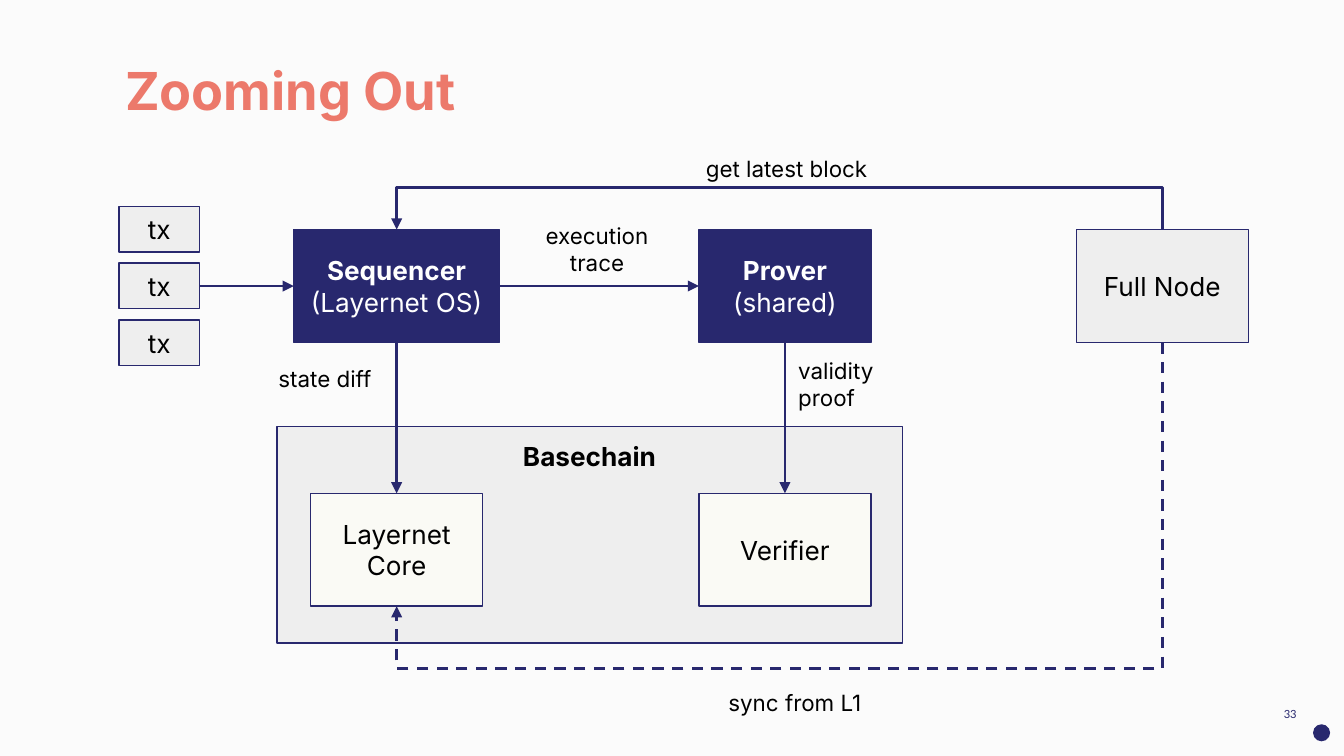
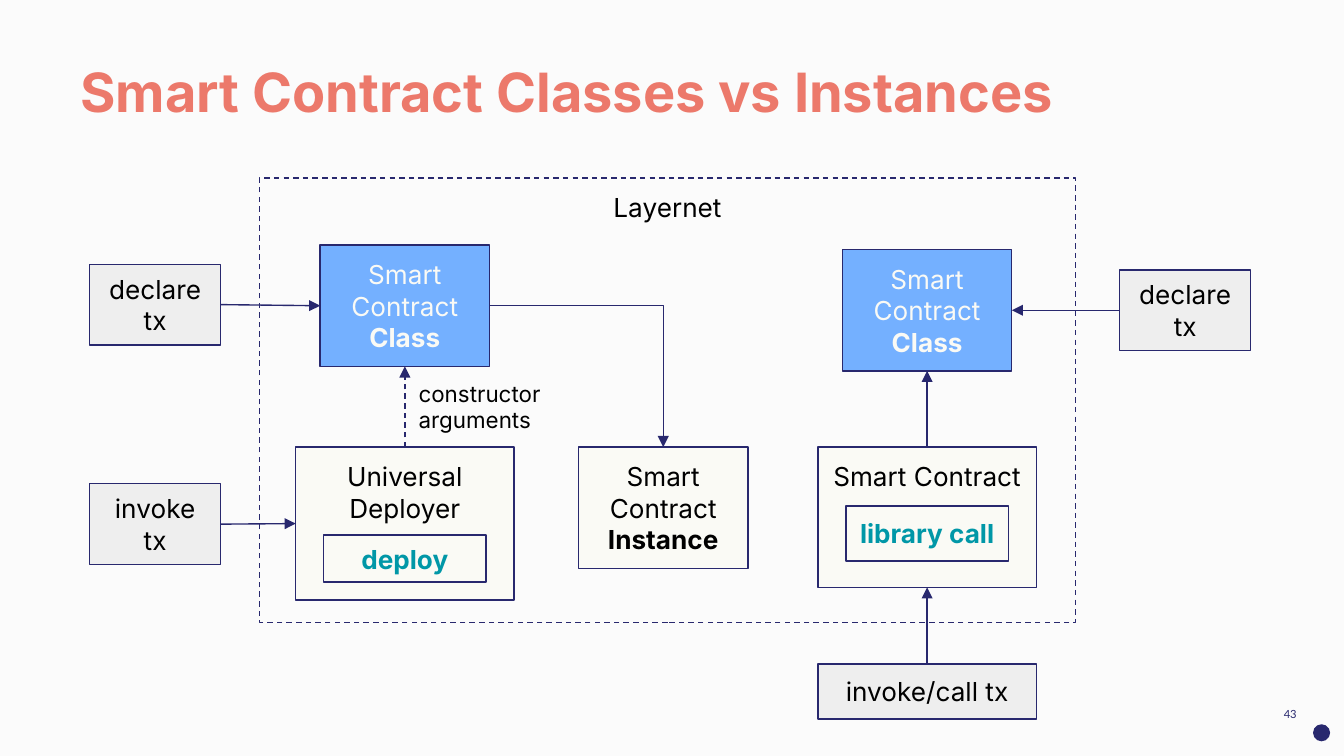
"""Build two diagram slides about a rollup and its smart contracts."""
import dataclasses

import lxml.etree
import pptx
import pptx.dml.color
import pptx.enum.dml
import pptx.enum.shapes
import pptx.enum.text
import pptx.oxml.ns
import pptx.util

Pt = pptx.util.Pt
ALIGN = pptx.enum.text.PP_ALIGN
ANCHOR = pptx.enum.text.MSO_ANCHOR
SHAPE = pptx.enum.shapes.MSO_SHAPE
DASH = pptx.enum.dml.MSO_LINE.DASH
TOP, LEFT, BOTTOM, RIGHT = range(4)


@dataclasses.dataclass(frozen=True)
class Theme:
    """Colours, fonts and sizes shared by the slides."""

    background: str = "FBFBFB"
    title: str = "EC796B"
    navy: str = "28286E"
    grey: str = "EEEEEE"
    cream: str = "FAFAF5"
    blue: str = "74B0FF"
    teal: str = "0097A7"
    white: str = "FFFFFF"
    black: str = "000000"
    font: str = "Inter"
    number_font: str = "Lato"
    body_size: float = 14
    label_size: float = 12
    number_size: float = 6
    thin: float = 0.75
    thick: float = 1.5
    inset: float = 7.2


THEME = Theme()


class Bold(str):
    """Text of a run set in bold."""


@dataclasses.dataclass(frozen=True)
class Box:
    """A rectangle in points."""

    left: float
    top: float
    width: float
    height: float

    def inside(self, left, top, width, height):
        """Return a box placed from this box's top left corner."""
        return Box(self.left + left, self.top + top, width, height)

    def centred(self, top, width, height):
        """Return a box on this box's vertical axis."""
        return self.inside((self.width - width) / 2, top, width, height)

    def lengths(self):
        """Return the four lengths for a shape call."""
        return [Pt(value) for value in dataclasses.astuple(self)]


def rgb(value):
    """Return a colour object."""
    return pptx.dml.color.RGBColor.from_string(value)


def assign(target, values):
    """Set each attribute named in a dict."""
    for name, value in values.items():
        setattr(target, name, value)


def write(shape, paragraphs, size, color, font=THEME.font, align=ALIGN.CENTER, anchor=ANCHOR.MIDDLE):
    """Fill a shape with paragraphs, each a string or a tuple of runs."""
    frame = shape.text_frame
    margins = ("margin_left", "margin_top", "margin_right", "margin_bottom")
    assign(frame, dict.fromkeys(margins, Pt(THEME.inset)))
    assign(frame, {"word_wrap": True, "vertical_anchor": anchor})
    for index, runs in enumerate(paragraphs):
        paragraph = frame.add_paragraph() if index else frame.paragraphs[0]
        paragraph.alignment = align
        for text in (runs,) if isinstance(runs, str) else runs:
            run = paragraph.add_run()
            run.text = str(text)
            assign(run.font, {"name": font, "size": Pt(size), "bold": isinstance(text, Bold)})
            run.font.color.rgb = rgb(color)


def stroke(shape, width, dash=None):
    """Give a shape or connector a navy line."""
    shape.line.color.rgb = rgb(THEME.navy)
    assign(shape.line, {"width": Pt(width), "dash_style": dash})


def add_block(slide, box, *paragraphs, fill=None, color=THEME.black, dash=None,
              kind=SHAPE.RECTANGLE, **text_format):
    """Draw an outlined shape with text."""
    shape = slide.shapes.add_shape(kind, *box.lengths())
    shape.shadow.inherit = False
    if fill:
        shape.fill.solid()
        shape.fill.fore_color.rgb = rgb(fill)
    else:
        shape.fill.background()
    stroke(shape, THEME.thin, dash)
    write(shape, paragraphs, THEME.body_size, color, **text_format)
    return shape


def add_label(slide, box, *paragraphs, size=THEME.label_size, color=THEME.black, **text_format):
    """Place text without an outline."""
    shape = slide.shapes.add_textbox(*box.lengths())
    write(shape, paragraphs, size, color, **text_format)


def anchor_point(shape, site):
    """Return the middle of one side of a shape."""
    middle_x, middle_y = shape.left + shape.width // 2, shape.top + shape.height // 2
    return {
        TOP: (middle_x, shape.top),
        LEFT: (shape.left, middle_y),
        BOTTOM: (middle_x, shape.top + shape.height),
        RIGHT: (shape.left + shape.width, middle_y),
    }[site]


def add_arrow(slide, source, source_site, target, target_site, corners=(), width=THEME.thin, dash=None):
    """Join two shapes with an arrow, bent at any corners given."""
    start, end = anchor_point(source, source_site), anchor_point(target, target_site)
    if corners:
        builder = slide.shapes.build_freeform(*start)
        builder.add_line_segments([*corners, end], close=False)
        arrow = builder.convert_to_shape()
        arrow.fill.background()
    else:
        straight = pptx.enum.shapes.MSO_CONNECTOR.STRAIGHT
        arrow = slide.shapes.add_connector(straight, *start, *end)
        arrow.begin_connect(source, source_site)
        arrow.end_connect(target, target_site)
    stroke(arrow, width, dash)
    qn = pptx.oxml.ns.qn
    properties = arrow._element.spPr
    lxml.etree.SubElement(properties.find(qn("a:ln")), qn("a:tailEnd"), type="triangle")
    lxml.etree.SubElement(properties, qn("a:effectLst"))


def add_loop(slide, source, target, site, level, **line_format):
    """Join the same side of two shapes along a horizontal level."""
    corners = [(anchor_point(shape, site)[0], Pt(level)) for shape in (source, target)]
    add_arrow(slide, source, site, target, site, corners, **line_format)


def start_slide(presentation, title, title_box, title_size, number):
    """Add a slide with its background, title, page number and dot."""
    slide = presentation.slides.add_slide(presentation.slide_layouts[6])
    slide.background.fill.solid()
    slide.background.fill.fore_color.rgb = rgb(THEME.background)
    add_label(slide, title_box, Bold(title), size=title_size, color=THEME.title,
              align=ALIGN.LEFT, anchor=ANCHOR.TOP)
    add_label(slide, Box(658.6, 367.2, 43.2, 31), number, size=THEME.number_size,
              color=THEME.navy, font=THEME.number_font, align=ALIGN.RIGHT)
    add_block(slide, Box(703.8, 388.4, 8.4, 8.4), fill=THEME.navy, kind=SHAPE.OVAL)
    return slide


def base_panel(slide, box):
    """Draw the base layer and return its core and verifier."""
    add_block(slide, box, Bold("Basechain"), fill=THEME.grey, anchor=ANCHOR.TOP)
    return [
        add_block(slide, box.inside(left, 35.8, 92.2, 60.5), text, fill=THEME.cream)
        for left, text in ((18, "Layernet Core"), (226, "Verifier"))
    ]


def transaction_stack(slide, box):
    """Draw three transactions and return the middle one."""
    blocks = [
        add_block(slide, box.inside(0, 30.5 * row, box.width, 24.5), "tx", fill=THEME.grey)
        for row in range(3)
    ]
    return blocks[1]


def operator_row(slide, box):
    """Draw the sequencer, prover and full node."""
    nodes = (
        (0, 110.2, (Bold("Sequencer"), "(Layernet OS)"), THEME.navy, THEME.white),
        (217, 92.2, (Bold("Prover"), "(shared)"), THEME.navy, THEME.white),
        (419.2, 92.2, ("Full Node",), THEME.grey, THEME.black),
    )
    return [
        add_block(slide, box.inside(left, 0, width, box.height), *text, fill=fill, color=color)
        for left, width, text, fill, color in nodes
    ]


def zooming_out(presentation):
    """Build the slide on the flow from transactions to the base layer."""
    slide = start_slide(presentation, "Zooming Out", Box(60, 23.8, 530, 45.4), 28, "33")
    core, verifier = base_panel(slide, Box(148.4, 228.5, 335, 116))
    transaction = transaction_stack(slide, Box(63.8, 110.5, 43.2, 85.5))
    sequencer, prover, full_node = operator_row(slide, Box(157.4, 123, 511.4, 60.5))
    for link in (
        (transaction, RIGHT, sequencer, LEFT),
        (sequencer, RIGHT, prover, LEFT),
        (sequencer, BOTTOM, core, TOP),
        (prover, BOTTOM, verifier, TOP),
    ):
        add_arrow(slide, *link, width=THEME.thick)
    add_loop(slide, full_node, sequencer, TOP, 100.4, width=THEME.thick)
    add_loop(slide, full_node, core, BOTTOM, 358, width=THEME.thick, dash=DASH)
    for box, text in (
        (Box(140.6, 193, 67, 19.4), "state diff"),
        (Box(276.7, 118.1, 86.4, 31), "execution trace"),
        (Box(375.1, 366.8, 101.5, 19.4), "sync from L1"),
        (Box(358.4, 80.8, 126, 19.4), "get latest block"),
    ):
        add_label(slide, box, text)
    add_label(slide, Box(420.5, 190.8, 58.3, 30.2), "validity", "proof", align=ALIGN.LEFT)


def contract_class(slide, box):
    """Draw a smart contract class."""
    return add_block(slide, box, ("Smart Contract ", Bold("Class")), fill=THEME.blue, color=THEME.cream)


def contract_with_call(slide, box, name, call, call_top, call_height):
    """Draw a contract holding the call it makes."""
    contract = add_block(slide, box, name, fill=THEME.cream, anchor=ANCHOR.TOP)
    add_block(slide, box.centred(call_top, 87, call_height), Bold(call), fill=THEME.cream, color=THEME.teal)
    return contract


def outside_transaction(slide, box, *paragraphs):
    """Draw a transaction sent from outside."""
    return add_block(slide, box, *paragraphs, fill=THEME.grey)


def deployer_side(slide, box):
    """Draw how the deployer turns a class into an instance."""
    deployer_box = box.inside(110.4, 108.2, 117, 82)
    deployer = contract_with_call(slide, deployer_box, "Universal Deployer", "deploy", 47.2, 25.2)
    template = contract_class(slide, deployer_box.centred(-108.2, 90.7, 65))
    instance = add_block(slide, box.inside(262, 108.2, 90.7, 65),
                         ("Smart Contract ", Bold("Instance")), fill=THEME.cream)
    declare = outside_transaction(slide, box.inside(0, 10.3, 70.2, 43.2), "declare", "tx")
    invoke = outside_transaction(slide, box.inside(0, 127.9, 70.2, 43.2), "invoke tx")
    add_label(slide, box.inside(169.2, 70.4, 84.2, 32.2), "constructor", "arguments", align=ALIGN.LEFT)
    add_arrow(slide, declare, RIGHT, template, LEFT)
    add_arrow(slide, invoke, RIGHT, deployer, LEFT)
    add_arrow(slide, deployer, TOP, template, BOTTOM, dash=DASH)
    corner = (anchor_point(instance, TOP)[0], anchor_point(template, RIGHT)[1])
    add_arrow(slide, template, RIGHT, instance, TOP, [corner])


def library_side(slide, box):
    """Draw a contract that calls a class as a library."""
    contract_box = box.inside(0, 105.8, 117, 75.2)
    contract = contract_with_call(slide, contract_box, "Smart Contract", "library call", 31.5, 29.5)
    template = contract_class(slide, contract_box.centred(-105.8, 90.7, 65))
    call = outside_transaction(slide, box.inside(0, 222, 117, 29.5), "invoke/call tx")
    declare = outside_transaction(slide, box.inside(161.6, 10.9, 70.2, 43.2), "declare", "tx")
    add_arrow(slide, contract, TOP, template, BOTTOM)
    add_arrow(slide, call, TOP, contract, BOTTOM)
    add_arrow(slide, declare, LEFT, template, RIGHT)


def classes_and_instances(presentation):
    """Build the slide that compares classes with instances."""
    title = "Smart Contract Classes vs Instances"
    slide = start_slide(presentation, title, Box(36, 24, 594.7, 45.4), 29, "43")
    add_block(slide, Box(139, 95.4, 437.2, 238), "Layernet", dash=DASH, anchor=ANCHOR.TOP)
    deployer_side(slide, Box(48, 131.3, 352.7, 190.2))
    library_side(slide, Box(438.2, 133.7, 231.8, 251.5))


def main():
    """Build and save the presentation."""
    presentation = pptx.Presentation()
    assign(presentation, {"slide_width": Pt(720), "slide_height": Pt(405)})
    zooming_out(presentation)
    classes_and_instances(presentation)
    presentation.save("out.pptx")


if __name__ == "__main__":
    main()
